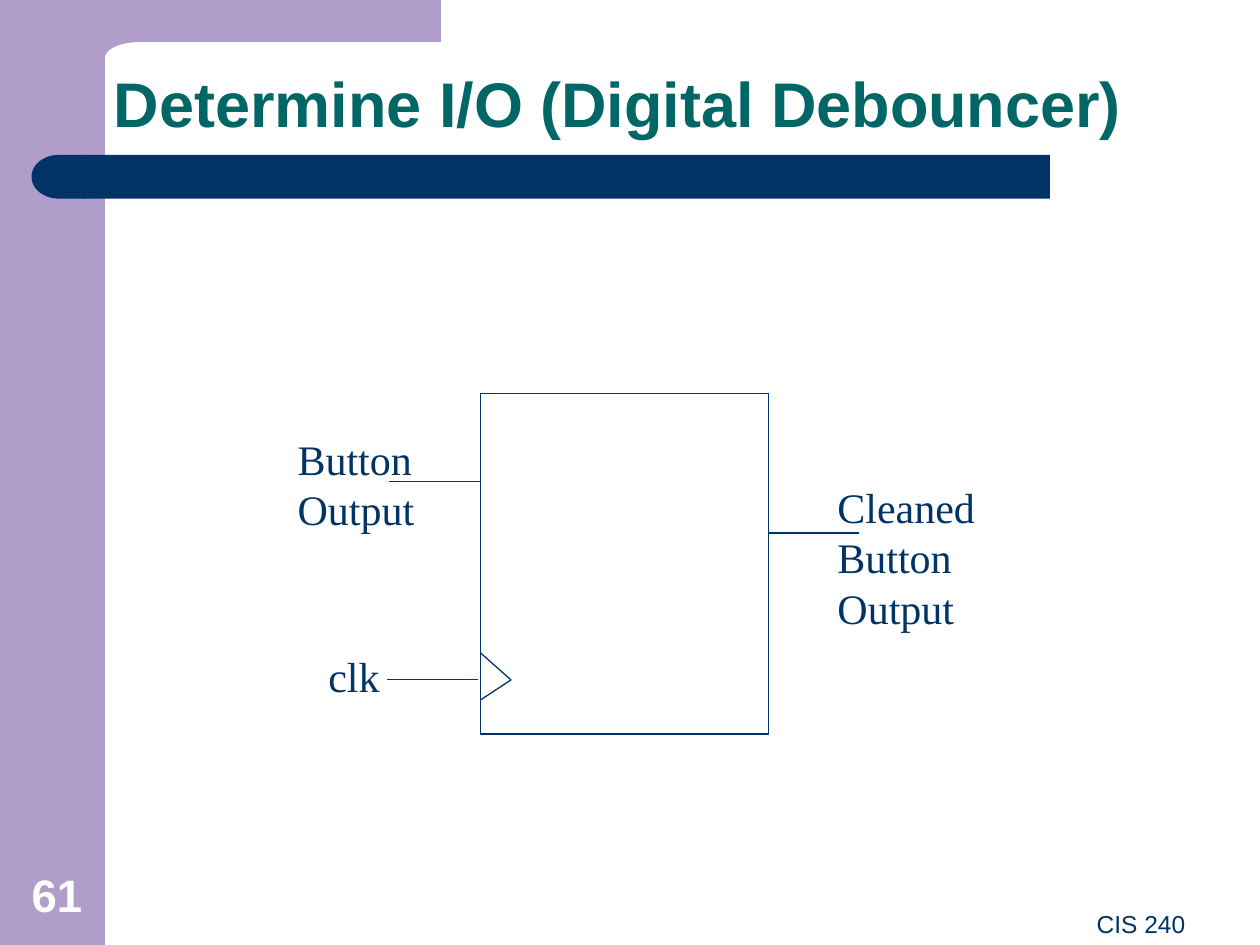
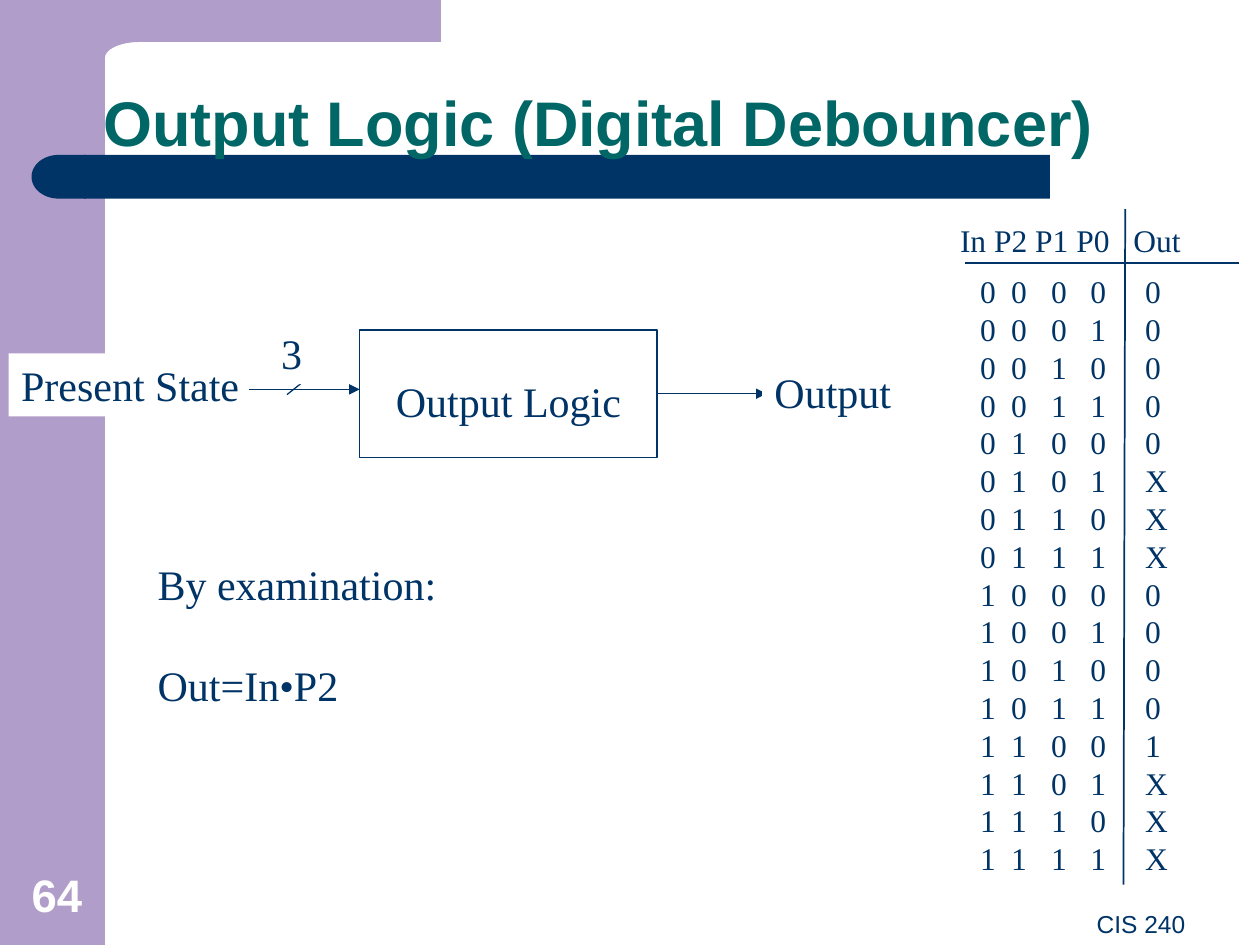
from dataclasses import dataclass
from itertools import product
from math import cos, radians, sin

from lxml import etree
from pptx import Presentation
from pptx.dml.color import RGBColor
from pptx.enum.shapes import MSO_CONNECTOR as CONNECTOR, MSO_SHAPE as SHAPE
from pptx.enum.text import MSO_ANCHOR as ANCHOR, MSO_AUTO_SIZE as AUTO_SIZE, PP_ALIGN as ALIGN
from pptx.oxml.ns import qn
from pptx.util import Pt

NAVY, TEAL, LILAC, WHITE = "003366", "006666", "B09DC9", "FFFFFF"
SANS, SERIF = "Arial", "Times New Roman"
COURSE = "CIS 240"


@dataclass
class Box:
    left: float
    top: float
    width: float
    height: float

    def emu(self) -> tuple:
        return Pt(self.left), Pt(self.top), Pt(self.width), Pt(self.height)


@dataclass
class Label:
    text: str
    box: Box
    fill: str | None = None


@dataclass
class Wire:
    start: tuple[float, float]
    end: tuple[float, float]
    arrow: bool = False
    weight: float = 0.75


def color(hex_code: str) -> RGBColor:
    return RGBColor.from_string(hex_code)


def paint(shape, fill: str | None = None, line: str | None = None) -> None:
    shape.shadow.inherit = False
    if fill:
        shape.fill.solid()
        shape.fill.fore_color.rgb = color(fill)
    else:
        shape.fill.background()
    if line:
        shape.line.color.rgb = color(line)
        shape.line.width = Pt(0.75)
    else:
        shape.line.fill.background()


def write(shape, text: str, *, size=24, font=SERIF, ink=NAVY, bold=False,
          align=ALIGN.LEFT, anchor=ANCHOR.TOP, spacing=None, gap=0.0,
          tabs=(), margins=(7.2, 3.6, 7.2, 3.6)) -> None:
    """Fill a shape with one paragraph per line; gap is the space between them."""
    frame = shape.text_frame
    frame.word_wrap = True
    frame.auto_size = AUTO_SIZE.NONE
    frame.vertical_anchor = anchor
    (frame.margin_left, frame.margin_top,
     frame.margin_right, frame.margin_bottom) = map(Pt, margins)
    for index, line in enumerate(text.split("\n")):
        paragraph = frame.add_paragraph() if index else frame.paragraphs[0]
        paragraph.alignment = align
        paragraph.line_spacing = spacing or Pt(1.2 * size)
        paragraph.space_before = Pt(gap if index else 0)
        if tabs:
            stops = etree.SubElement(paragraph._p.get_or_add_pPr(), qn("a:tabLst"))
            for stop in tabs:
                etree.SubElement(stops, qn("a:tab"), pos=str(Pt(stop)), algn="l")
        run = paragraph.add_run()
        run.text = line
        run.font.name, run.font.size, run.font.bold = font, Pt(size), bold
        run.font.color.rgb = color(ink)


def add_block(slide, box: Box, fill=None, line=None, kind=SHAPE.RECTANGLE):
    block = slide.shapes.add_shape(kind, *box.emu())
    paint(block, fill, line)
    return block


def add_outline(slide, points: list, closed: bool, fill=None, line=None) -> None:
    first, *rest = [(Pt(x), Pt(y)) for x, y in points]
    builder = slide.shapes.build_freeform(*first)
    builder.add_line_segments(rest, close=closed)
    paint(builder.convert_to_shape(), fill, line)


def add_label(slide, label: Label, **text_format) -> None:
    if label.fill:
        holder = add_block(slide, label.box, label.fill)
    else:
        holder = slide.shapes.add_textbox(*label.box.emu())
    write(holder, label.text, **text_format)


def add_wire(slide, wire: Wire):
    connector = slide.shapes.add_connector(
        CONNECTOR.STRAIGHT, *map(Pt, (*wire.start, *wire.end)))
    connector.line.color.rgb = color(NAVY)
    connector.line.width = Pt(wire.weight)
    if wire.arrow:
        etree.SubElement(connector.line._get_or_add_ln(), qn("a:tailEnd"), type="triangle")
    etree.SubElement(connector._element.spPr, qn("a:effectLst"))
    return connector


def add_framed_slide(deck, heading: str, heading_box: Box, number: int):
    """Add a slide with the side band, title bar, title, page number and course."""
    slide = deck.slides.add_slide(deck.slide_layouts[5])
    add_block(slide, Box(0, 0, 60, 540), LILAC)
    corner = [(80 - 20 * sin(radians(a)), 33 - 9 * cos(radians(a))) for a in range(0, 91, 10)]
    add_outline(slide, [(252, 0), (252, 24), *corner, (60, 36), (36, 36), (36, 0)],
                True, fill=LILAC)
    add_block(slide, Box(48, 88.5, 552, 25), NAVY)
    add_block(slide, Box(18, 88.5, 31, 25), NAVY, kind=SHAPE.FLOWCHART_DELAY).rotation = 180

    title = slide.shapes.title
    title.left, title.top, title.width, title.height = heading_box.emu()
    write(title, heading, size=36, font=SANS, ink=TEAL, bold=True, anchor=ANCHOR.BOTTOM,
          spacing=0.9, margins=(5, 0, 0, 3.5))
    title.element.getparent().append(title.element)

    add_label(slide, Label(str(number), Box(0, 492, 65, 38)), size=26, font=SANS, ink=WHITE,
              bold=True, align=ALIGN.CENTER, anchor=ANCHOR.BOTTOM, spacing=1.0)
    add_label(slide, Label(COURSE, Box(246, 516, 438.5, 24)), size=14, font=SANS,
              align=ALIGN.RIGHT, spacing=1.0)
    return slide


def build_io_slide(deck) -> None:
    slide = add_framed_slide(deck, "Determine I/O (Digital Debouncer)",
                             Box(60, 24, 624, 60), 61)
    add_block(slide, Box(274.5, 225, 164.5, 194.5), line=NAVY)
    add_outline(slide, [(274.5, 373), (292, 388.5), (274.5, 400)], False, line=NAVY)
    for wire in (Wire((274.5, 275), (222.5, 275)),
                 Wire((273, 388.5), (221, 388.5)),
                 Wire((491, 304.5), (439, 304.5))):
        add_wire(slide, wire)
    for label in (Label("Button\nOutput", Box(163, 244, 221, 65)),
                  Label("clk", Box(180.5, 368, 68, 36)),
                  Label("Cleaned\nButton\nOutput", Box(471.5, 271.5, 174, 94))):
        add_label(slide, label)


def add_truth_table(slide) -> None:
    outputs = "00000XXX00001XXX"
    rows = ["\t".join((*bits, out)) for bits, out in zip(product("01", repeat=4), outputs)]
    add_label(slide, Label("In P2 P1 P0\tOut", Box(541.5, 123, 178, 29)), size=18, tabs=(99,))
    add_label(slide, Label("\n".join(rows), Box(553, 152, 166, 353.5)), size=18,
              tabs=(17.75, 40.5, 63, 94.25))
    add_wire(slide, Wire((643, 119.5), (642, 505.5), weight=1))
    add_wire(slide, Wire((551.5, 150.5), (708, 150.5), weight=1))


def build_logic_slide(deck) -> None:
    slide = add_framed_slide(deck, "Output Logic (Digital Debouncer)",
                             Box(54, 5, 612, 90), 64)
    logic = add_block(slide, Box(205.5, 188.5, 170, 73), WHITE, NAVY)
    write(logic, "Output Logic", align=ALIGN.CENTER, anchor=ANCHOR.MIDDLE,
          margins=(7.2, 11.6, 7.2, 3.6))
    add_wire(slide, Wire((375.5, 225), (438, 225), arrow=True)).begin_connect(logic, 3)
    add_label(slide, Label("Present State", Box(5, 202, 178.5, 36), WHITE))
    add_label(slide, Label("Output", Box(435.5, 206, 133, 36), WHITE))
    add_wire(slide, Wire((142.5, 222.5), (205.5, 222.5), arrow=True))
    add_wire(slide, Wire((178.5, 214), (164, 225.5)))
    add_label(slide, Label("3", Box(153.5, 183.5, 26.5, 36), WHITE))
    add_truth_table(slide)
    add_label(slide, Label("By examination:\nOut=In•P2", Box(83, 315.5, 180, 94)), gap=28.8)


def main() -> None:
    deck = Presentation()
    deck.slide_width, deck.slide_height = Pt(720), Pt(540)
    build_io_slide(deck)
    build_logic_slide(deck)
    deck.save("out.pptx")


if __name__ == "__main__":
    main()
